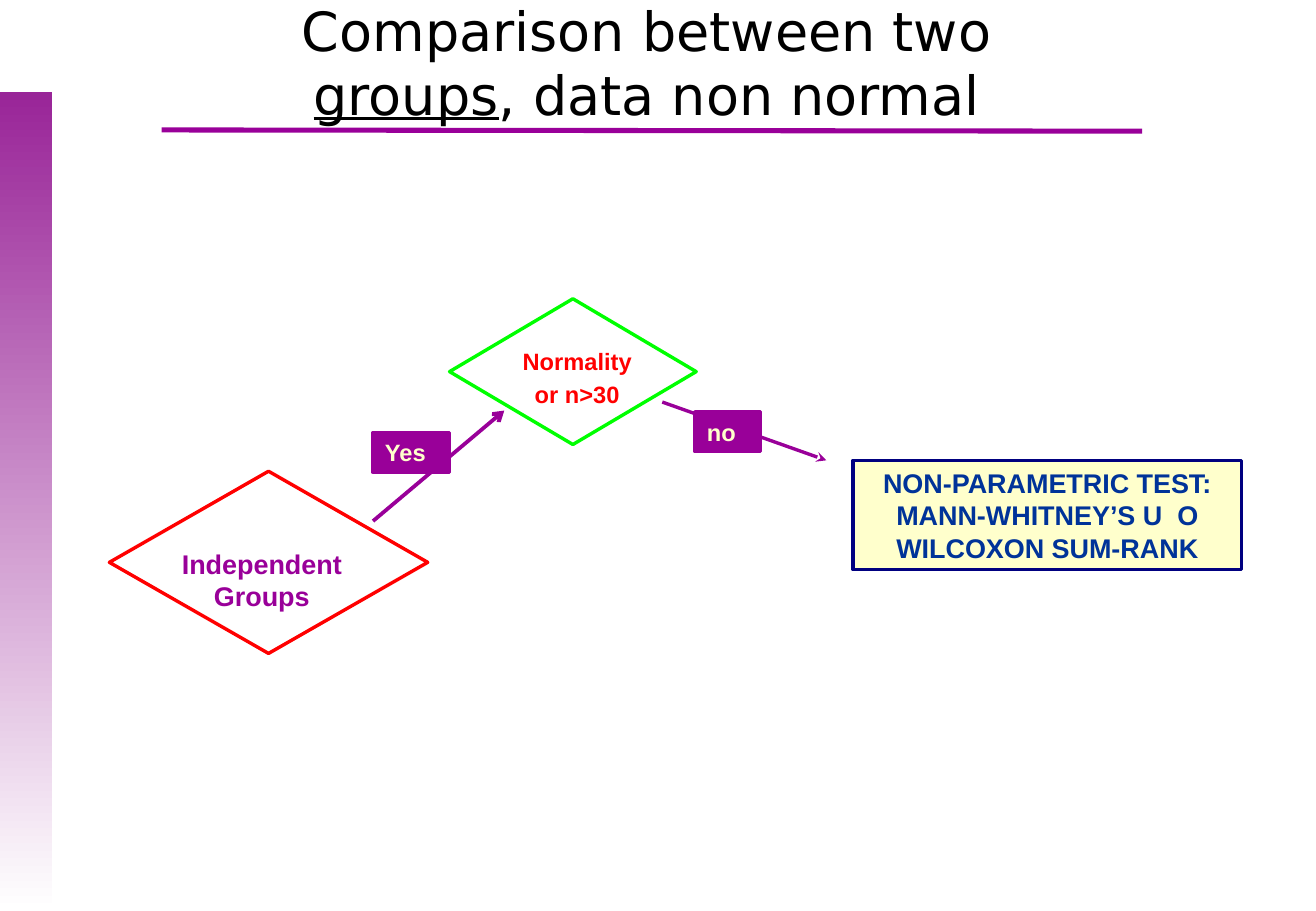
"""Build a decision-flow slide for comparing two groups with non-normal data."""
from lxml.etree import SubElement
from pptx import Presentation
from pptx.dml.color import RGBColor
from pptx.enum.shapes import MSO_CONNECTOR, MSO_SHAPE
from pptx.enum.text import MSO_ANCHOR, MSO_AUTO_SIZE, PP_ALIGN
from pptx.oxml.ns import qn
from pptx.util import Inches, Pt

PURPLE = RGBColor(0x99, 0x00, 0x99)
BAND_TOP = RGBColor(0x99, 0x25, 0x98)
WHITE = RGBColor(0xFF, 0xFF, 0xFF)
BLACK = RGBColor(0x00, 0x00, 0x00)
RED = RGBColor(0xFF, 0x00, 0x00)
GREEN = RGBColor(0x00, 0xFF, 0x00)
NAVY = RGBColor(0x00, 0x00, 0x80)
BLUE = RGBColor(0x00, 0x33, 0x99)
CREAM = RGBColor(0xFF, 0xFF, 0xCC)

TITLE = [("Comparison between two ", False), ("groups", True), (", data non normal", False)]
TITLE_AT = (2.02, 0.05, 6.61, 0.92)
BAND_AT = (0, 0.76, 0.43, 6.74)

CONNECTORS = [
    ((1.33, 1.07), (9.4, 1.08), 3, None),
    ((3.07, 4.29), (4.15, 3.38), 2.25, "arrow"),
    ((5.45, 3.31), (6.8, 3.79), 2, "stealth"),
]
DIAMONDS = [((0.9, 3.88, 2.62, 1.5), RED), ((3.7, 2.46, 2.03, 1.2), GREEN)]
BOXES = [
    ((7.02, 3.79, 3.2, 0.9), CREAM, NAVY),
    ((3.07, 3.56, 0.63, 0.33), PURPLE, PURPLE),
    ((5.72, 3.39, 0.54, 0.33), PURPLE, PURPLE),
]
BOX_TEXTS = [
    (["NON-PARAMETRIC TEST: MANN-WHITNEY’S U  O WILCOXON SUM-RANK"], 16, BLUE, PP_ALIGN.CENTER),
    (["Yes"], 14, CREAM, PP_ALIGN.LEFT),
    (["no"], 14, CREAM, PP_ALIGN.LEFT),
]
LABELS = [
    ((1.01, 4.46, 2.29, 0.63), (["Independent Groups"], 16, PURPLE, PP_ALIGN.CENTER)),
    ((3.81, 2.81, 1.88, 0.6), (["Normality", "or n>30"], 14, RED, PP_ALIGN.CENTER)),
]


def inches(values):
    return [Inches(value) for value in values]


def apply(target, **formats):
    for name, value in formats.items():
        setattr(target, name, value)


def add_outlined(page, kind, at, fill, line):
    shape = page.shapes.add_shape(kind, *inches(at))
    shape.shadow.inherit = False
    if fill is None:
        shape.fill.background()
    else:
        shape.fill.solid()
        shape.fill.fore_color.rgb = fill
    shape.line.color.rgb = line
    shape.line.width = Pt(2)
    return shape


def write(box, lines, size, color, align):
    frame = box.text_frame
    frame.text = "\n".join(lines)
    apply(frame, word_wrap=True, auto_size=MSO_AUTO_SIZE.SHAPE_TO_FIT_TEXT,
          vertical_anchor=MSO_ANCHOR.TOP)
    for index, para in enumerate(frame.paragraphs):
        apply(para, alignment=align, space_before=Pt(2.8 if index else 0))
        apply(para.font, name="Arial", size=Pt(size), bold=True)
        para.font.color.rgb = color


def add_connector(page, start, end, width, head):
    line = page.shapes.add_connector(MSO_CONNECTOR.STRAIGHT, *inches(start + end))
    line.line.color.rgb = PURPLE
    line.line.width = Pt(width)
    if head:
        SubElement(line.line._get_or_add_ln(), qn("a:tailEnd"), type=head)
    SubElement(line._element.spPr, qn("a:effectLst"))


def add_band(page):
    band = page.shapes.add_shape(MSO_SHAPE.RECTANGLE, *inches(BAND_AT))
    band.shadow.inherit = False
    band.line.fill.background()
    band.fill.gradient()
    band.fill.gradient_angle = 270
    for stop, color in zip(band.fill.gradient_stops, (BAND_TOP, WHITE)):
        stop.color.rgb = color


def fill_title(title):
    apply(title, **dict(zip(("left", "top", "width", "height"), inches(TITLE_AT))))
    apply(title.text_frame, word_wrap=True, auto_size=MSO_AUTO_SIZE.NONE,
          vertical_anchor=MSO_ANCHOR.MIDDLE)
    para = title.text_frame.paragraphs[0]
    para.alignment = PP_ALIGN.CENTER
    for text, underline in TITLE:
        span = para.add_run()
        span.text = text
        apply(span.font, name="DejaVu Sans", size=Pt(32), underline=underline)
        span.font.color.rgb = BLACK


def main():
    deck = Presentation()
    apply(deck, slide_width=Inches(10.83), slide_height=Inches(7.5))
    page = deck.slides.add_slide(deck.slide_layouts[5])
    add_band(page)
    fill_title(page.shapes.title)
    for connector in CONNECTORS:
        add_connector(page, *connector)
    for at, line in DIAMONDS:
        add_outlined(page, MSO_SHAPE.FLOWCHART_DECISION, at, None, line)
    for (at, fill, line), text in zip(BOXES, BOX_TEXTS):
        write(add_outlined(page, MSO_SHAPE.RECTANGLE, at, fill, line), *text)
    for at, text in LABELS:
        write(page.shapes.add_textbox(*inches(at)), *text)
    deck.save("out.pptx")


if __name__ == "__main__":
    main()
